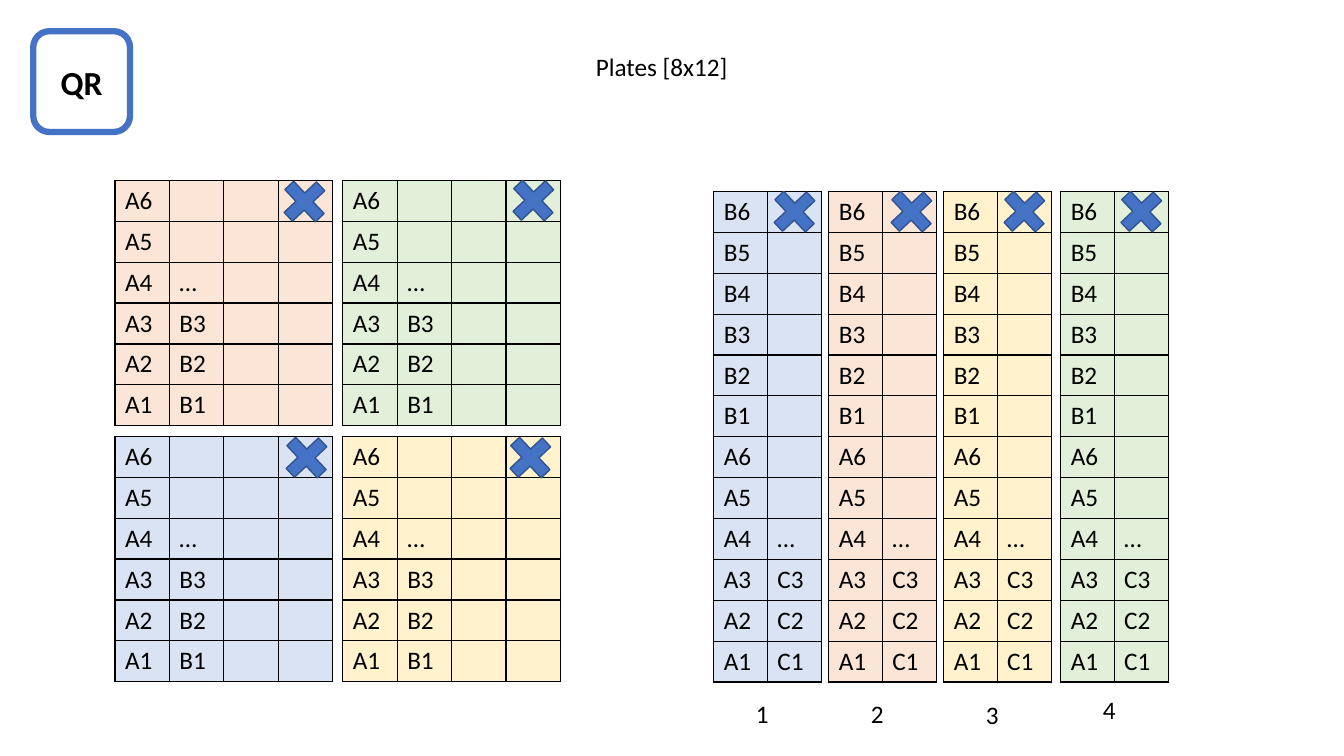
from dataclasses import dataclass
from typing import Any

import pptx
import pptx.dml.color
import pptx.enum.shapes
import pptx.enum.text
import pptx.oxml
import pptx.oxml.ns
import pptx.util
from pptx.util import Inches

RGBColor = pptx.dml.color.RGBColor
SHAPES = pptx.enum.shapes.MSO_SHAPE
ALIGN = pptx.enum.text.PP_ALIGN
ANCHOR = pptx.enum.text.MSO_ANCHOR
AUTO_SIZE = pptx.enum.text.MSO_AUTO_SIZE

BLACK = RGBColor(0x00, 0x00, 0x00)
WHITE = RGBColor(0xFF, 0xFF, 0xFF)
ACCENT = RGBColor(0x44, 0x72, 0xC4)
ACCENT_DARK = RGBColor(0x32, 0x54, 0x91)
BLUE = RGBColor(0xDA, 0xE3, 0xF3)
YELLOW = RGBColor(0xFF, 0xF2, 0xCC)
ORANGE = RGBColor(0xFB, 0xE5, 0xD6)
GREEN = RGBColor(0xE2, 0xF0, 0xD9)

BODY_FONT = {"name": "Calibri", "size": pptx.util.Pt(18), "bold": False}
BADGE_FONT = {"name": "Calibri", "size": pptx.util.Pt(24), "bold": True}
LABEL_FRAME = {"word_wrap": False, "auto_size": AUTO_SIZE.SHAPE_TO_FIT_TEXT,
               "vertical_anchor": ANCHOR.TOP}
ROW_HEIGHT = 4.87 / 12
CROSS_SIZE = 0.44

A_ROWS = [f"A{number}" for number in range(6, 0, -1)]
B_ROWS = [f"B{number}" for number in range(6, 0, -1)]


@dataclass
class Plate:
    left: float
    top: float
    color: RGBColor
    cross_left: float
    cross_top: float


@dataclass
class Strip(Plate):
    label: str
    label_top: float


PLATES = [
    Plate(1.14, 4.33, BLUE, 2.82, 4.32),
    Plate(3.4, 4.33, YELLOW, 5.04, 4.32),
    Plate(1.14, 1.79, ORANGE, 2.8, 1.78),
    Plate(3.4, 1.79, GREEN, 5.07, 1.77),
]
STRIPS = [
    Strip(7.08, 1.9, BLUE, 7.66, 1.88, "1", 6.88),
    Strip(8.22, 1.9, ORANGE, 8.82, 1.88, "2", 6.88),
    Strip(9.36, 1.9, YELLOW, 9.94, 1.88, "3", 6.89),
    Strip(10.52, 1.9, GREEN, 11.1, 1.88, "4", 6.84),
]


def set_attributes(target: Any, values: dict[str, Any]) -> None:
    for name, value in values.items():
        setattr(target, name, value)


def write(frame: Any, text: str, font: dict[str, Any], align: Any = ALIGN.LEFT) -> None:
    para = frame.paragraphs[0]
    para.alignment = align
    span = para.add_run()
    span.text = text
    set_attributes(span.font, font)
    span.font.color.rgb = BLACK


def place(box: Any, left: float, top: float, width: float, height: float) -> None:
    set_attributes(box, {"left": Inches(left), "top": Inches(top),
                         "width": Inches(width), "height": Inches(height)})


def add_borders(cell: Any) -> None:
    """Put 1 pt black lines ahead of the fill, as the schema requires."""
    properties = cell._tc.get_or_add_tcPr()
    for index, side in enumerate("LRTB"):
        line = pptx.oxml.parse_xml(
            f'<a:ln{side} {pptx.oxml.ns.nsdecls("a")} w="12700"><a:solidFill>'
            f'<a:srgbClr val="{BLACK}"/></a:solidFill></a:ln{side}>')
        properties.insert(index, line)


def add_grid(page: Any, plate: Plate, columns: list[list[str]], widths: list[float]) -> None:
    """Draw a plate; each column's labels fill it from the bottom up."""
    row_count = len(columns[0])
    table = page.shapes.add_table(
        row_count, len(widths), Inches(plate.left), Inches(plate.top),
        Inches(sum(widths)), Inches(row_count * ROW_HEIGHT)).table
    set_attributes(table, {"first_row": False, "horz_banding": False})
    for row in table.rows:
        row.height = Inches(ROW_HEIGHT)
    for index, width in enumerate(widths):
        table.columns[index].width = Inches(width)
    for cell in table.iter_cells():
        cell.fill.solid()
        cell.fill.fore_color.rgb = plate.color
        add_borders(cell)
    for column_index, labels in enumerate(columns):
        first_row = row_count - len(labels)
        for row_index, label in enumerate(labels, first_row):
            if label:
                write(table.cell(row_index, column_index).text_frame, label, BODY_FONT)


def add_shape(page: Any, kind: Any, bounds: tuple[float, float, float, float],
              fill: RGBColor, line: RGBColor, line_width: float) -> Any:
    shape = page.shapes.add_shape(kind, *map(Inches, bounds))
    shape.shadow.inherit = False
    shape.fill.solid()
    shape.fill.fore_color.rgb = fill
    shape.line.color.rgb = line
    shape.line.width = pptx.util.Pt(line_width)
    return shape


def add_cross(page: Any, plate: Plate) -> None:
    bounds = (plate.cross_left, plate.cross_top, CROSS_SIZE, CROSS_SIZE)
    cross = add_shape(page, SHAPES.CROSS, bounds, ACCENT, ACCENT_DARK, 1)
    cross.rotation = 46.7
    cross.adjustments[0] = 0.364


def add_title(page: Any) -> None:
    title = page.shapes.title
    place(title, 5.81, 0.46, 1.52, 0.4)
    set_attributes(title.text_frame, LABEL_FRAME)
    write(title.text_frame, "Plates [8x12]", BODY_FONT)


def add_badge(page: Any) -> None:
    badge = add_shape(page, SHAPES.ROUNDED_RECTANGLE, (0.33, 0.31, 0.96, 1),
                      WHITE, ACCENT, 4.5)
    badge.text_frame.vertical_anchor = ANCHOR.MIDDLE
    write(badge.text_frame, "QR", BADGE_FONT, ALIGN.CENTER)


def add_strip_label(page: Any, strip: Strip) -> None:
    box = page.shapes.add_textbox(Inches(strip.left + 0.32), Inches(strip.label_top),
                                  Inches(0.33), Inches(0.4))
    set_attributes(box.text_frame, LABEL_FRAME)
    write(box.text_frame, strip.label, BODY_FONT)


def main() -> None:
    deck = pptx.Presentation()
    set_attributes(deck, {"slide_width": Inches(13.33), "slide_height": Inches(7.5)})
    page = deck.slides.add_slide(deck.slide_layouts[5])
    add_title(page)
    for plate in PLATES:
        add_grid(page, plate, [A_ROWS, ["…", "B3", "B2", "B1"]], [0.54] * 4)
    add_badge(page)
    for strip in STRIPS:
        add_grid(page, strip, [B_ROWS + A_ROWS, ["…", "C3", "C2", "C1"]], [0.53, 0.54])
        add_strip_label(page, strip)
    for plate in PLATES + STRIPS:
        add_cross(page, plate)
    deck.save("out.pptx")


if __name__ == "__main__":
    main()
